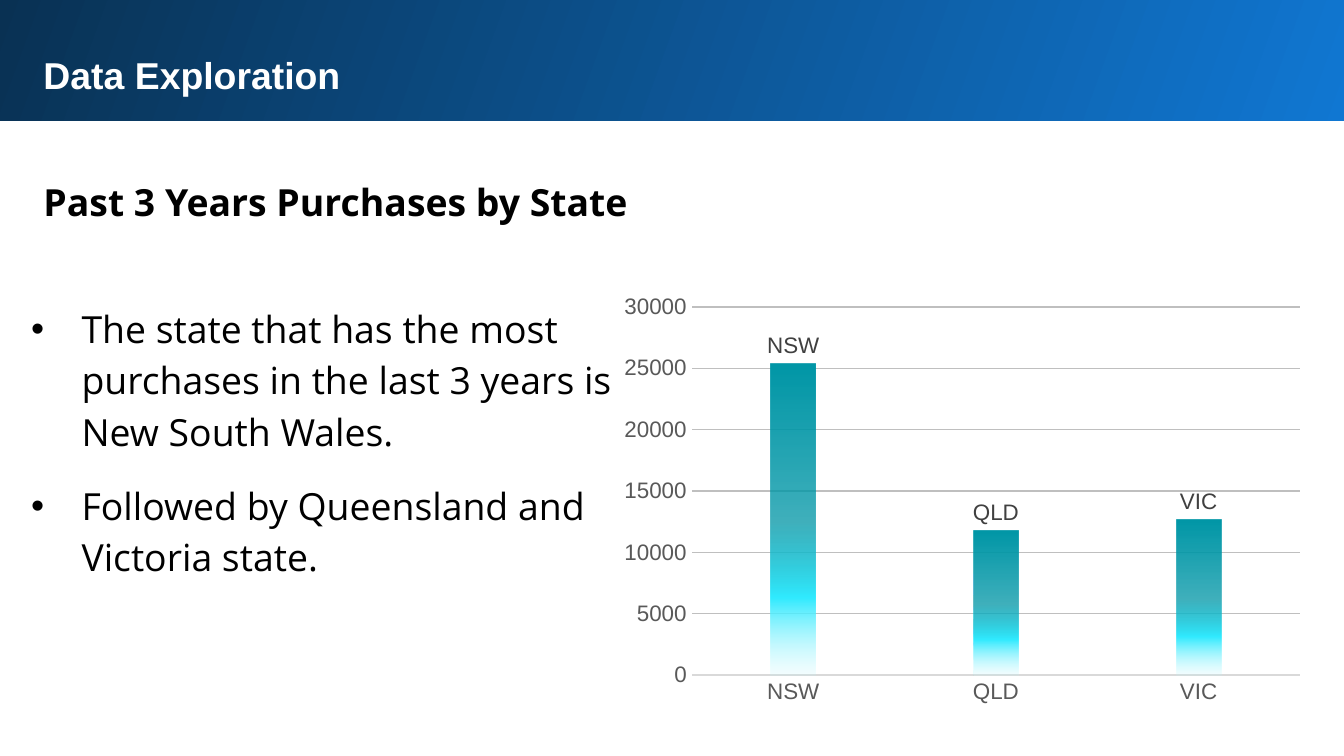
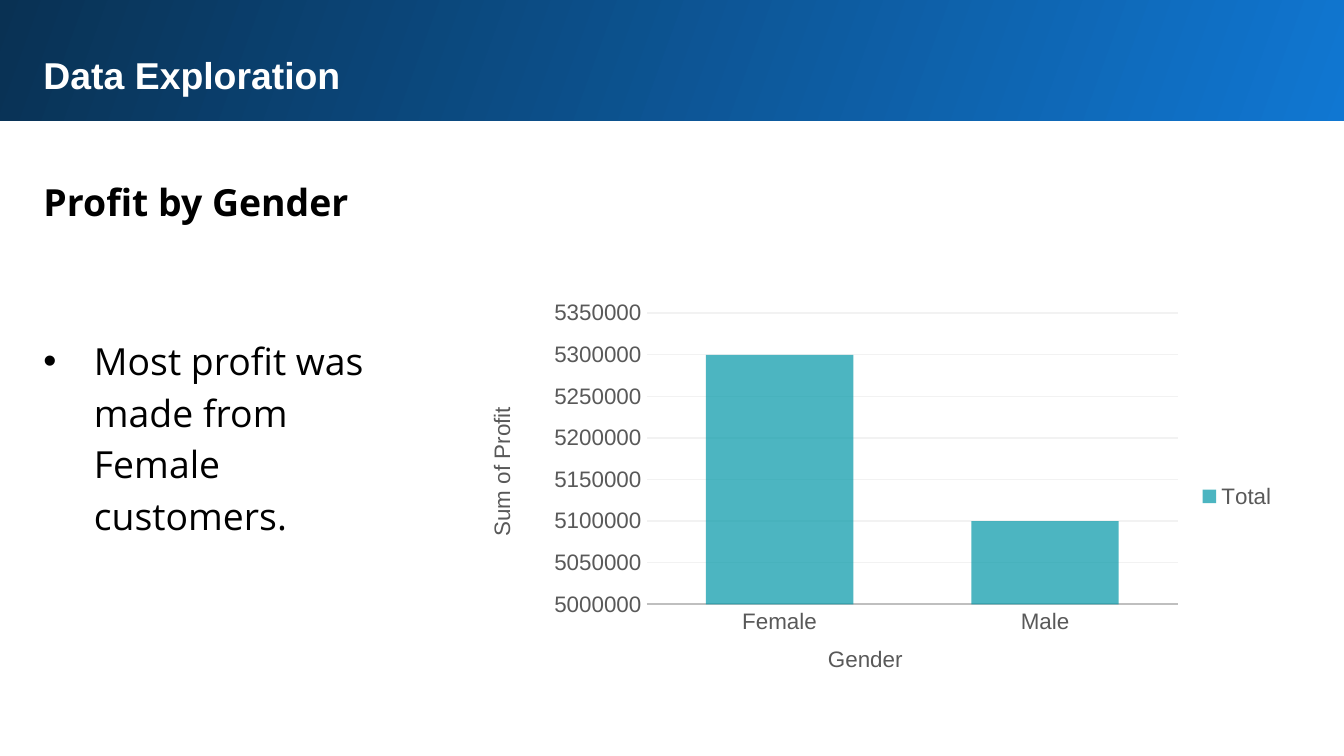
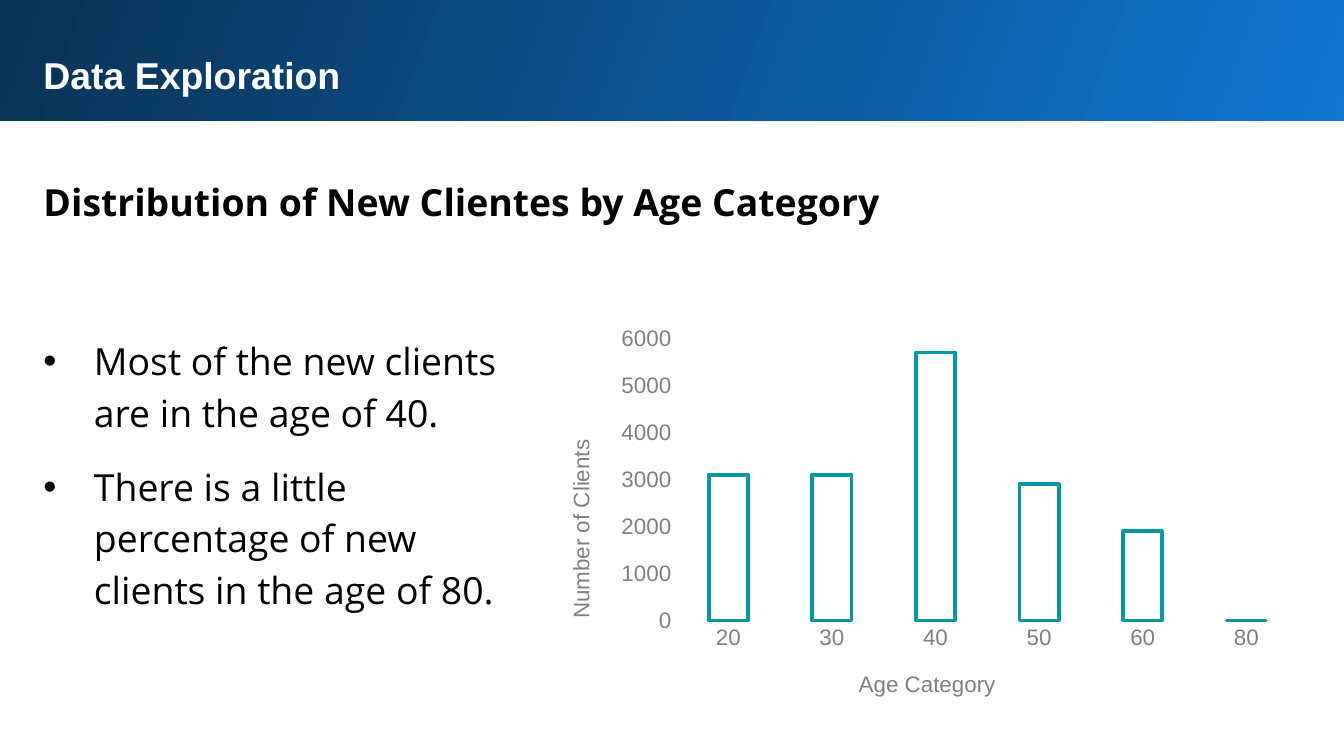
import pptx
import pptx.chart.data
import pptx.dml.color
import pptx.enum.chart
import pptx.enum.shapes
import pptx.enum.text
import pptx.oxml
import pptx.oxml.ns
import pptx.util
from lxml import etree

Pt = pptx.util.Pt
qn = pptx.oxml.ns.qn

COLORS = {
    "band_light": "1077D2", "band_dark": "093153",
    "white": "FFFFFF", "ink": "000000",
    "teal": "0097A7", "cyan": "31EBFF", "pale": "BAF8FF",
    "label": "404040", "axis": "595959", "soft_axis": "808080",
    "base": "D9D9D9", "strong_base": "BFBFBF",
    "grid": "BFBFBF", "faint_grid": "F2F2F2",
}
HEADING_FONT, BODY_FONT = "Arial", "Open Sans"
TITLE_SIZE, CHART_SIZE = 20, 12
BAND = (-1.5, -1.5, 724, 66.3)
TITLE = (16.2, 20.6, 675, 37)
HEADING = (16.2, 85, 675, 40)
BULLET_INDENT = 27


def rgb(name):
    """Return the palette colour as an RGBColor."""
    return pptx.dml.color.RGBColor.from_string(COLORS[name])


def style_font(font, name, size, color, bold=False):
    """Set face, size, colour and weight of a font."""
    font.name, font.size, font.bold = name, Pt(size), bold
    font.color.rgb = rgb(color)


def add_alpha(color_element, percent):
    """Make a colour element partly transparent."""
    etree.SubElement(color_element, qn("a:alpha"), val=str(percent * 1000))


def fill_gradient(fill, properties, stops, angle):
    """Give a linear gradient from (position, colour, opacity) stops."""
    fill.gradient()
    gradient = properties.find(qn("a:gradFill"))
    for child in list(gradient):
        gradient.remove(child)
    stop_list = etree.SubElement(gradient, qn("a:gsLst"))
    for position, color, opacity in stops:
        stop = etree.SubElement(stop_list, qn("a:gs"), pos=str(position * 1000))
        shade = etree.SubElement(stop, qn("a:srgbClr"), val=COLORS[color])
        if opacity < 100:
            add_alpha(shade, opacity)
    etree.SubElement(gradient, qn("a:lin"), ang=str(angle * 60000), scaled="0")


def add_text(slide, box, paragraphs, font, color, bold=False, spacing=None,
             after=0, bullets=False):
    """Write paragraphs in a wrapping text box, with bullets if asked."""
    frame = slide.shapes.add_textbox(*map(Pt, box)).text_frame
    frame.word_wrap = True
    frame.auto_size = pptx.enum.text.MSO_AUTO_SIZE.SHAPE_TO_FIT_TEXT
    frame.margin_left = frame.margin_right = Pt(7.2)
    frame.margin_top = frame.margin_bottom = Pt(7.2)
    frame.text = "\n".join(paragraphs)
    for paragraph in frame.paragraphs:
        paragraph.line_spacing = spacing
        paragraph.space_after = Pt(after)
        style_font(paragraph.runs[0].font, font, TITLE_SIZE, color, bold)
        if bullets:
            properties = paragraph._p.get_or_add_pPr()
            properties.set("marL", str(Pt(BULLET_INDENT)))
            properties.set("indent", str(-Pt(BULLET_INDENT)))
            etree.SubElement(properties, qn("a:buFont"), typeface="Arial")
            etree.SubElement(properties, qn("a:buChar"), char="\u2022")


def add_band(slide, box):
    """Draw the gradient band at the top of a slide."""
    band = slide.shapes.add_shape(
        pptx.enum.shapes.MSO_SHAPE.RECTANGLE, *map(Pt, box))
    band.shadow.inherit = False
    band.line.fill.background()
    fill_gradient(band.fill, band._element.spPr,
                  [(0, "band_light", 100), (100, "band_dark", 100)], 200)


def add_slide(deck, heading, points, points_box, after=12):
    """Start a slide with band, title, heading and bullet points."""
    slide = deck.slides.add_slide(deck.slide_layouts[6])
    add_band(slide, BAND)
    add_text(slide, TITLE, ["Data Exploration"], HEADING_FONT, "white", True)
    add_text(slide, HEADING, [heading], BODY_FONT, "ink", True, 1.15)
    add_text(slide, points_box, points, BODY_FONT, "ink", False, 1.15, after,
             bullets=True)
    return slide


def place_part(parent, index, fractions, inner=False):
    """Fix a chart part at fractions (x, y and perhaps w, h) of its chart."""
    for old in parent.findall(qn("c:layout")):
        parent.remove(old)
    layout = etree.Element(qn("c:layout"))
    manual = etree.SubElement(layout, qn("c:manualLayout"))
    if inner:
        etree.SubElement(manual, qn("c:layoutTarget"), val="inner")
    for side in "xy":
        etree.SubElement(manual, qn(f"c:{side}Mode"), val="edge")
    for side, value in zip("xywh", fractions):
        etree.SubElement(manual, qn(f"c:{side}"), val=f"{value:.4f}")
    parent.insert(index, layout)


def style_line(line, color, width):
    """Colour a line, or hide it when it has no colour."""
    if color is None:
        line.fill.background()
    else:
        line.color.rgb = rgb(color)
        line.width = Pt(width)


def add_axis_title(axis, text, color, fractions, upright):
    """Add an axis title at a fixed place."""
    frame = axis.axis_title.text_frame
    frame.text = text
    style_font(frame.paragraphs[0].runs[0].font, HEADING_FONT, CHART_SIZE, color)
    if not upright:
        frame._txBody.bodyPr.set("rot", "-5400000")
    place_part(axis.axis_title._element, 1, fractions)


def add_columns(slide, box, plot, series, values, scale, gap, overlap,
                text_color="axis", base=(None, 0), grid=None, titles=()):
    """Draw a column chart; plot and title places are points inside its box.

    scale is (minimum, maximum, step); titles holds (text, x, y) for the
    category axis and then the value axis.
    """
    width, height = box[2:]
    data = pptx.chart.data.CategoryChartData()
    data.categories = list(values)
    data.add_series(series, values.values())
    chart = slide.shapes.add_chart(
        pptx.enum.chart.XL_CHART_TYPE.COLUMN_CLUSTERED,
        *map(Pt, box), data).chart
    chart.has_title = chart.has_legend = False
    style_font(chart.font, HEADING_FONT, CHART_SIZE, text_color)

    columns = chart.plots[0]
    columns.gap_width, columns.overlap = gap, overlap
    columns.vary_by_categories = False

    categories, amounts = chart.category_axis, chart.value_axis
    for axis in (categories, amounts):
        axis.major_tick_mark = axis.minor_tick_mark = \
            pptx.enum.chart.XL_TICK_MARK.NONE
        style_font(axis.tick_labels.font, HEADING_FONT, CHART_SIZE, text_color)
    style_line(categories.format.line, *base)
    style_line(amounts.format.line, None, 0)
    amounts.minimum_scale, amounts.maximum_scale, amounts.major_unit = scale
    amounts.has_major_gridlines = grid is not None
    if grid:
        style_line(amounts.major_gridlines.format.line, grid, 0.75)

    for axis, (text, x, y) in zip((categories, amounts), titles):
        add_axis_title(axis, text, text_color, (x / width, y / height),
                       upright=axis is categories)
    x, y, w, h = plot
    place_part(chart._chartSpace.chart.plotArea, 0,
               (x / width, y / height, w / width, h / height), inner=True)
    return chart


def build_states(deck):
    """Slide on purchases by state."""
    slide = add_slide(
        deck, "Past 3 Years Purchases by State",
        ["The state that has the most purchases in the last 3 years is "
         "New South Wales.",
         "Followed by Queensland and Victoria state."],
        (9.6, 153.2, 344, 163.5))
    chart = add_columns(
        slide, (327, 153.5, 376.5, 229), (43.7, 11, 325.7, 197.2), "Series 1",
        {"NSW": 25400, "QLD": 11800, "VIC": 12700}, (0, 30000, 5000),
        gap=355, overlap=-70, base=("base", 0.75), grid="grid")
    purchases = chart.series[0]
    fill_gradient(purchases.format.fill, purchases._element.spPr,
                  [(0, "teal", 100), (51, "teal", 75),
                   (75, "cyan", 100), (100, "pale", 15)], 90)
    labels = purchases.data_labels
    labels.show_value, labels.show_category_name = False, True
    labels.position = pptx.enum.chart.XL_LABEL_POSITION.OUTSIDE_END
    style_font(labels.font, HEADING_FONT, CHART_SIZE, "label")


def build_gender(deck):
    """Slide on profit by gender."""
    slide = add_slide(deck, "Profit by Gender",
                      ["Most profit was made from Female customers."],
                      (16.2, 170.5, 212.5, 96), after=0)
    chart = add_columns(
        slide, (254.5, 157, 436.5, 218), (92, 10.8, 284.5, 156), "Total",
        {"Female": 5300000, "Male": 5100000}, (5000000, 5350000, 50000),
        gap=80, overlap=25, base=("strong_base", 1.25), grid="faint_grid",
        titles=[("Gender", 186.9, 186.7), ("Sum of Profit", 4.7, 58.9)])
    profit = chart.series[0]
    profit.format.fill.solid()
    profit.format.fill.fore_color.rgb = rgb("teal")
    add_alpha(profit._element.spPr.find(".//" + qn("a:srgbClr")), 70)
    chart.has_legend = True
    chart.legend.position = pptx.enum.chart.XL_LEGEND_POSITION.RIGHT
    chart.legend.include_in_layout = False
    style_font(chart.legend.font, HEADING_FONT, CHART_SIZE, "axis")


def build_ages(deck):
    """Slide on new clients by age."""
    slide = add_slide(
        deck, "Distribution of New Clientes by Age Category",
        ["Most of the new clients are in the age of 40.",
         "There is a little percentage of new clients in the age of 80."],
        (16.2, 170.5, 276, 163.5))
    chart = add_columns(
        slide, (291.5, 170.5, 412, 214), (71, 10.8, 333, 151.2), "Series 1",
        {"20": 3100, "30": 3100, "40": 5700, "50": 2900, "60": 1900, "80": 0},
        (0, 6000, 1000), gap=164, overlap=-35, text_color="soft_axis",
        titles=[("Age Category", 166.4, 186.7),
                ("Number of Clients", 10.2, 62.9)])
    clients = chart.series[0].format
    clients.fill.background()
    style_line(clients.line, "teal", 2)


def main():
    """Build and save the deck."""
    deck = pptx.Presentation()
    deck.slide_width, deck.slide_height = Pt(720), Pt(405)
    for build in (build_states, build_gender, build_ages):
        build(deck)
    deck.save("out.pptx")


main()
